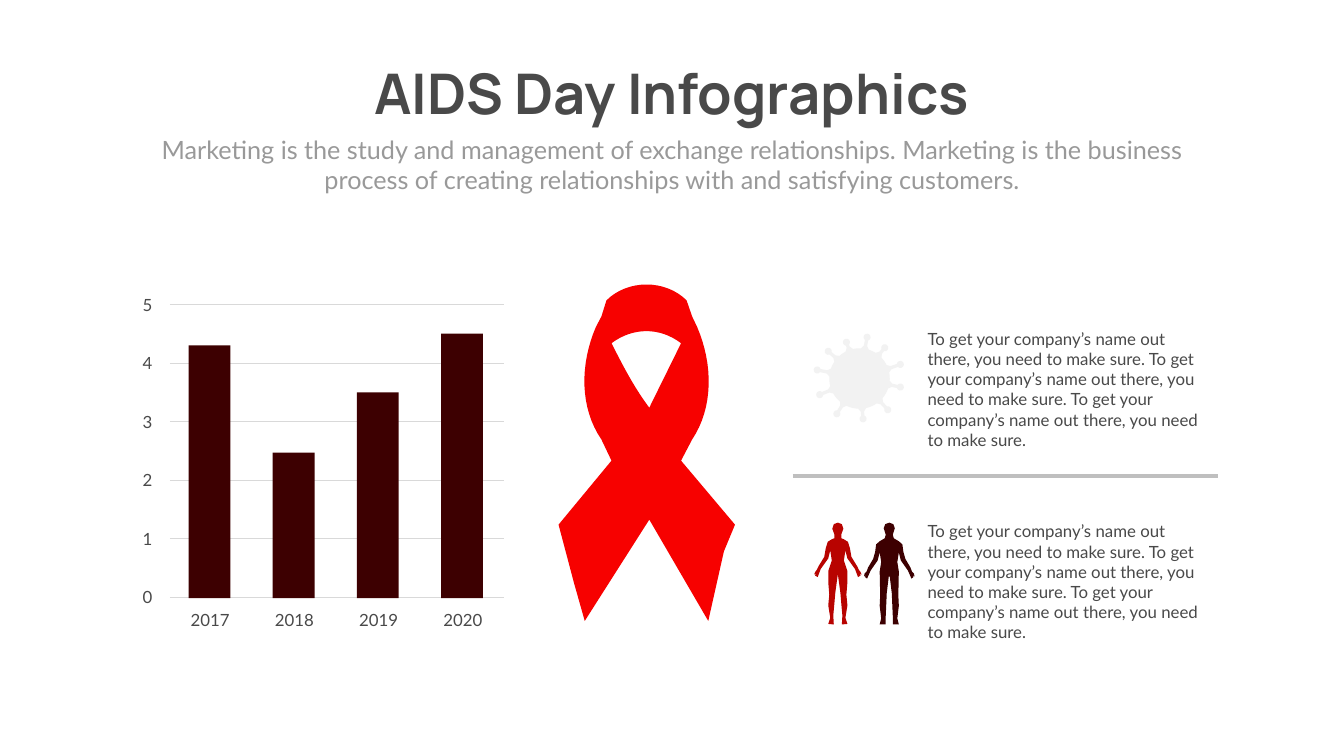
from math import atan2, cos, hypot, pi, sin
from typing import NamedTuple

from pptx import Presentation
from pptx.dml.color import RGBColor
from pptx.enum.shapes import MSO_CONNECTOR, MSO_SHAPE
from pptx.enum.text import MSO_AUTO_SIZE, PP_ALIGN
from pptx.oxml.xmlchemy import OxmlElement
from pptx.util import Inches, Pt

DARK, GRAY, RULE, GRID, PALE = "494949", "999999", "BFBFBF", "D9D9D9", "F2F2F2"
RED, BLOOD, WINE = "F70100", "B80300", "3D0001"
Point = tuple[float, float]


class Label(NamedTuple):
    text: str
    box: tuple[float, float, float, float]
    size: float = 24
    color: str = DARK
    font: str = "Lato"
    align: PP_ALIGN = PP_ALIGN.LEFT
    bold: bool = False
    wrap: bool = True


class Person(NamedTuple):
    mid: float
    color: str
    half: list[Point]  # offset from the body's axis, height on the slide


NOTE = " ".join(["To get your company’s name out there, you need to make sure."] * 3)
LABELS = [
    Label("AIDS Day Infographics", (6.83, 1.12, 12.99, 1.45), 80,
          font="Manrope", align=PP_ALIGN.CENTER, bold=True, wrap=False),
    Label("Marketing is the study and management of exchange relationships. "
          "Marketing is the business process of creating relationships with "
          "and satisfying customers.", (2.92, 2.61, 20.82, 1.31), 36, GRAY,
          align=PP_ALIGN.CENTER),
    Label(NOTE, (18.3, 6.47, 5.82, 2.52)),
    Label(NOTE, (18.3, 10.29, 5.82, 2.52)),
]

SALES = {"2017": 4.3, "2018": 2.47, "2019": 3.5, "2020": 4.5}
TOP, BASE, PEAK = 6.04, 11.85, 5
UNIT = (BASE - TOP) / PEAK

PEOPLE = [
    Person(16.62, BLOOD, [
        (0, 10.37), (.08, 10.4), (.11, 10.49), (.07, 10.6), (.07, 10.68),
        (.12, 10.7), (.2, 10.75), (.24, 10.88), (.27, 11.05), (.38, 11.23),
        (.42, 11.31), (.45, 11.35), (.47, 11.4), (.44, 11.38), (.45, 11.42),
        (.4, 11.45), (.34, 11.29), (.19, 11.08), (.15, 10.92), (.12, 11.12),
        (.19, 11.33), (.19, 11.55), (.17, 11.8), (.19, 12.01), (.15, 12.26),
        (.19, 12.38), (.08, 12.39), (.09, 12.21), (.07, 11.99), (.05, 11.76),
        (0, 11.39)]),
    Person(17.64, WINE, [
        (0, 10.37), (.08, 10.4), (.11, 10.48), (.07, 10.61), (.09, 10.68),
        (.19, 10.74), (.26, 10.8), (.28, 10.95), (.32, 11.09), (.42, 11.26),
        (.45, 11.34), (.49, 11.38), (.5, 11.44), (.47, 11.41), (.48, 11.45),
        (.44, 11.48), (.37, 11.32), (.23, 11.12), (.19, 10.96), (.16, 11.15),
        (.19, 11.34), (.18, 11.81), (.19, 12.02), (.16, 12.27), (.19, 12.39),
        (.07, 12.39), (.07, 12.22), (.06, 12), (.05, 11.77), (.01, 11.44)]),
]

CORE = (17.05, 7.51)
KNOBS = [(17.86, 7.68), (17.86, 7.23), (17.55, 6.9), (17.2, 6.69),
         (16.79, 6.79), (16.43, 6.97), (16.21, 7.34), (16.26, 7.83),
         (16.6, 8.21), (17.12, 8.31), (17.61, 8.13)]


def tint(code: str) -> RGBColor:
    return RGBColor.from_string(code)


def curve(a: Point, b: Point, c: Point, d: Point, steps: int = 16) -> list[Point]:
    """Sample a cubic Bézier curve, both ends included."""
    def blend(t: float, axis: int) -> float:
        u = 1 - t
        return (u**3 * a[axis] + 3 * u * u * t * b[axis]
                + 3 * u * t * t * c[axis] + t**3 * d[axis])
    return [(blend(i / steps, 0), blend(i / steps, 1)) for i in range(steps + 1)]


def polar(hub: Point, dist: float, turn: float) -> Point:
    return hub[0] + dist * cos(turn), hub[1] + dist * sin(turn)


def paint(shape, color: str) -> None:
    shape.shadow.inherit = False
    shape.fill.solid()
    shape.fill.fore_color.rgb = tint(color)
    shape.line.fill.background()


def draw_form(slide, color: str, *loops: list[Point]) -> None:
    """Draw closed loops as one shape; an inner loop is a hole."""
    loops = [[(Inches(x), Inches(y)) for x, y in loop] for loop in loops]
    form = slide.shapes.build_freeform(*loops[0][0])
    form.add_line_segments(loops[0][1:])
    for loop in loops[1:]:
        form.move_to(*loop[0])
        form.add_line_segments(loop[1:])
    paint(form.convert_to_shape(), color)


def draw_line(slide, left: float, right: float, y: float, color: str,
              width: float) -> None:
    line = slide.shapes.add_connector(
        MSO_CONNECTOR.STRAIGHT, *map(Inches, (left, y, right, y)))
    line.line.color.rgb, line.line.width = tint(color), Pt(width)
    line.element.spPr.append(OxmlElement("a:effectLst"))


def draw_label(slide, label: Label) -> None:
    frame = slide.shapes.add_textbox(*map(Inches, label.box)).text_frame
    frame.word_wrap = label.wrap
    frame.auto_size = MSO_AUTO_SIZE.SHAPE_TO_FIT_TEXT
    para = frame.paragraphs[0]
    para.text = label.text
    para.alignment = label.align
    font = para.font
    font.name, font.size, font.bold = label.font, Pt(label.size), label.bold
    font.color.rgb = tint(label.color)


def draw_bars(slide) -> None:
    for mark in range(PEAK, -1, -1):
        y = BASE - mark * UNIT
        draw_line(slide, 3.37, 10, y, GRID, 0.5)
        draw_label(slide, Label(str(mark), (2.49, y - 0.25, 0.63, 0.5),
                                align=PP_ALIGN.RIGHT))
    for i, (year, value) in enumerate(SALES.items()):
        shift, high = 1.67 * i, value * UNIT + 0.02
        box = (3.74 + shift, BASE + 0.02 - high, 0.83, high)
        paint(slide.shapes.add_shape(MSO_SHAPE.RECTANGLE, *map(Inches, box)), WINE)
        draw_label(slide, Label(year, (3.56 + shift, 12.04, 1.22, 0.5),
                                align=PP_ALIGN.CENTER))


def draw_ribbon(slide) -> None:
    outer = [
        (13.51, 9.14),
        *curve((13.73, 8.72), (14.15, 8.09), (14.15, 7.24), (13.83, 6.49)),
        (13.73, 6.28),
        *curve((13.62, 5.96), (13.2, 5.54), (12.45, 5.54), (12.03, 5.96)),
        (11.93, 6.28),
        *curve((11.82, 6.49), (11.5, 7.24), (11.5, 8.09), (11.93, 8.72)),
        (12.13, 9.14), (11.08, 10.41), (11.39, 11.58), (11.6, 12.32),
        (12.88, 10.31), (14.05, 12.32), (14.36, 10.94), (14.58, 10.41)]
    hole = [
        *curve((12.88, 8.09), (12.56, 7.66), (12.35, 7.24), (12.13, 6.81)),
        *curve((12.13, 6.81), (12.56, 6.49), (13.09, 6.49), (13.51, 6.81)),
        *curve((13.51, 6.81), (13.3, 7.24), (13.09, 7.66), (12.88, 8.09))]
    draw_form(slide, RED, outer, hole)


def draw_virus(slide) -> None:
    rim, ball = 0.6, 0.07
    turns = [atan2(y - CORE[1], x - CORE[0]) for x, y in KNOBS]
    loop = []
    for i, (knob, turn) in enumerate(zip(KNOBS, turns)):
        stem = min(rim + 0.06, hypot(knob[0] - CORE[0], knob[1] - CORE[1]))
        loop += [polar(CORE, rim, turn + 0.13), polar(CORE, stem, turn + 0.05)]
        loop += [polar(knob, ball, turn + pi * (0.85 - 0.17 * k)) for k in range(11)]
        loop += [polar(CORE, stem, turn - 0.05), polar(CORE, rim, turn - 0.13)]
        gap = (turn - turns[(i + 1) % len(turns)]) % (2 * pi)
        loop += [polar(CORE, rim, turn - gap * part) for part in (0.35, 0.5, 0.65)]
    draw_form(slide, PALE, loop)


def draw_person(slide, who: Person) -> None:
    right = [(who.mid + x, y) for x, y in who.half]
    left = [(who.mid - x, y) for x, y in reversed(who.half)]
    draw_form(slide, who.color, right + left)


def main() -> None:
    deck = Presentation()
    deck.slide_width, deck.slide_height = Inches(26.66), Inches(15)
    slide = deck.slides.add_slide(deck.slide_layouts[6])
    for label in LABELS:
        draw_label(slide, label)
    draw_ribbon(slide)
    draw_virus(slide)
    draw_line(slide, 15.73, 24.16, 9.44, RULE, 6)
    for who in PEOPLE:
        draw_person(slide, who)
    draw_bars(slide)
    deck.save("out.pptx")


if __name__ == "__main__":
    main()
